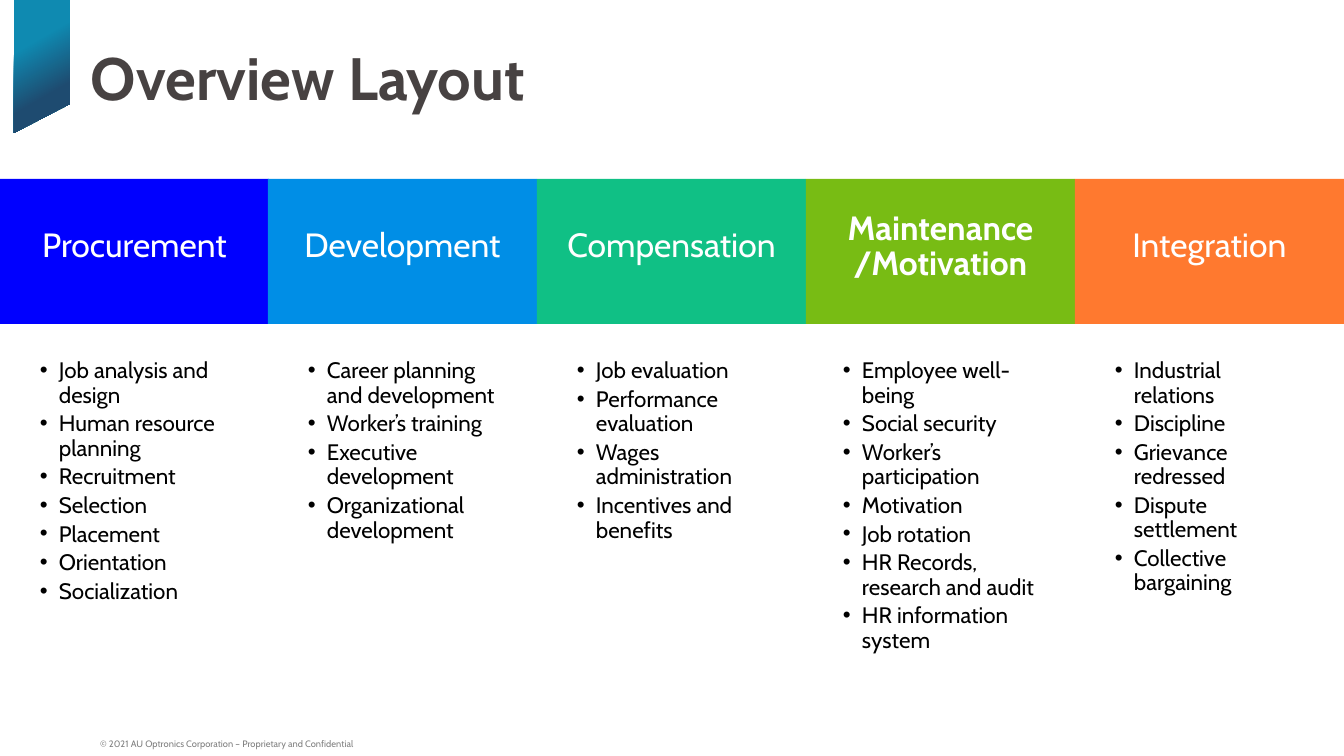
from dataclasses import dataclass

from lxml.etree import SubElement
from pptx import Presentation
from pptx.dml.color import RGBColor
from pptx.enum.shapes import MSO_SHAPE as Shape
from pptx.enum.text import MSO_ANCHOR as Anchor, MSO_AUTO_SIZE as AutoSize, PP_ALIGN as Align
from pptx.oxml.ns import qn
from pptx.util import Pt

SLIDE_W, SLIDE_H = 1344, 756
EMU_PER_PX = 914400 / 134.4


@dataclass(frozen=True)
class Theme:
    font: str = "Cabin"
    title: str = "474242"
    heading: str = "FFFFFF"
    body: str = "000000"
    footer: str = "808080"
    ribbon: tuple = (("0F8AB1", 0.32), ("1E4B70", 0.70))
    title_size: int = 32
    heading_size: int = 18
    body_size: int = 12
    footer_size: int = 5


THEME = Theme()

# Heading, colour, is current, list width, list height, duties
FUNCTIONS = [
    ("Procurement", "0000FF", False, 198, 249, [
        "Job analysis and design", "Human resource planning", "Recruitment",
        "Selection", "Placement", "Orientation", "Socialization"]),
    ("Development", "008EE6", False, 198, 188, [
        "Career planning and development", "Worker’s training",
        "Executive development", "Organizational development"]),
    ("Compensation", "10C085", False, 198, 188, [
        "Job evaluation", "Performance evaluation",
        "Wages administration", "Incentives and benefits"]),
    ("Maintenance\n/Motivation", "78BC14", True, 204, 321, [
        "Employee well-being", "Social security", "Worker’s participation",
        "Motivation", "Job rotation", "HR Records, research and audit",
        "HR information system"]),
    ("Integration", "FF792F", False, 198, 216, [
        "Industrial relations", "Discipline", "Grievance redressed",
        "Dispute settlement", "Collective bargaining"]),
]


def px(length):
    return round(length * EMU_PER_PX)


def rgb(code):
    return RGBColor.from_string(code)


def add_bullet(paragraph, indent=19):
    properties = paragraph._p.get_or_add_pPr()
    properties.set("marL", str(px(indent)))
    properties.set("indent", str(-px(indent)))
    SubElement(properties, qn("a:buFont"), typeface="Arial")
    SubElement(properties, qn("a:buChar"), char="•")


def add_text(slide, box, text, *, size, color, bold=False, align=Align.LEFT,
             anchor=Anchor.TOP, insets=(13, 7), wrap=True, grow=False,
             line_spacing=None, space_before=0, bullets=False):
    """Add a text box with one paragraph for each line of text."""
    text_box = slide.shapes.add_textbox(*map(px, box))
    frame = text_box.text_frame
    frame.word_wrap = wrap
    frame.auto_size = AutoSize.SHAPE_TO_FIT_TEXT if grow else AutoSize.NONE
    frame.vertical_anchor = anchor
    frame.margin_left = frame.margin_right = px(insets[0])
    frame.margin_top = frame.margin_bottom = px(insets[1])
    for index, line in enumerate(text.split("\n")):
        paragraph = frame.add_paragraph() if index else frame.paragraphs[0]
        if bullets:
            add_bullet(paragraph)
        paragraph.alignment = align
        if line_spacing:
            paragraph.line_spacing = line_spacing
        paragraph.space_before = Pt(space_before if index else 0)
        run = paragraph.add_run()
        run.text = line
        run.font.name = THEME.font
        run.font.size = Pt(size)
        run.font.bold = bold
        run.font.color.rgb = rgb(color)


def draw_ribbon(slide, box):
    left, top, width, height = box
    right, bottom = left + width, top + height
    outline = slide.shapes.build_freeform(left, top, scale=EMU_PER_PX)
    outline.add_line_segments(
        [(right, top), (right, bottom - 29), (left, bottom)], close=True)
    ribbon = outline.convert_to_shape()
    ribbon.shadow.inherit = False
    ribbon.line.fill.background()
    ribbon.fill.gradient()
    ribbon.fill.gradient_angle = 300
    for stop, (color, position) in zip(ribbon.fill.gradient_stops, THEME.ribbon):
        stop.color.rgb = rgb(color)
        stop.position = position


def draw_band(slide, box, color):
    band = slide.shapes.add_shape(Shape.RECTANGLE, *map(px, box))
    band.shadow.inherit = False
    band.fill.solid()
    band.fill.fore_color.rgb = rgb(color)
    band.line.fill.background()


def draw_column(slide, box, function):
    heading, color, current, list_width, list_height, duties = function
    left, top, width, band_height = box
    draw_band(slide, box, color)

    # Heading, centred slightly above the middle of the band
    heading_height = 50 + 35 * heading.count("\n")
    add_text(slide, (left, top + 68 - heading_height // 2, width, heading_height),
             heading, size=THEME.heading_size, color=THEME.heading, bold=current,
             align=Align.CENTER, anchor=Anchor.MIDDLE, wrap=False, grow=True,
             line_spacing=Pt(18.8))

    # Duties, centred below the band
    add_text(slide, (left + (width - list_width) // 2, top + band_height + 32,
                     list_width, list_height),
             "\n".join(duties), size=THEME.body_size, color=THEME.body,
             insets=(5, 3), grow=True, line_spacing=Pt(13.1), space_before=2.2,
             bullets=True)


def draw_columns(slide, box):
    left, top, width, height = box
    count = len(FUNCTIONS)
    for index, function in enumerate(FUNCTIONS):
        column_left = left + width * index // count
        draw_column(slide, (column_left, top, width // count + 1, height), function)


def main():
    presentation = Presentation()
    presentation.slide_width, presentation.slide_height = px(SLIDE_W), px(SLIDE_H)
    slide = presentation.slides.add_slide(presentation.slide_layouts[6])

    # Frame of the slide
    draw_ribbon(slide, (14, 0, 56, 133))
    add_text(slide, (89, 732, 504, 24),
             "© 2021 AU Optronics Corporation – Proprietary and Confidential",
             size=THEME.footer_size, color=THEME.footer, anchor=Anchor.BOTTOM,
             insets=(11, 7), line_spacing=0.8)

    # Content
    draw_columns(slide, (0, 179, SLIDE_W, 145))
    add_text(slide, (78, 34, 1097, 172), "Overview Layout",
             size=THEME.title_size, color=THEME.title, bold=True)

    presentation.save("out.pptx")


if __name__ == "__main__":
    main()
